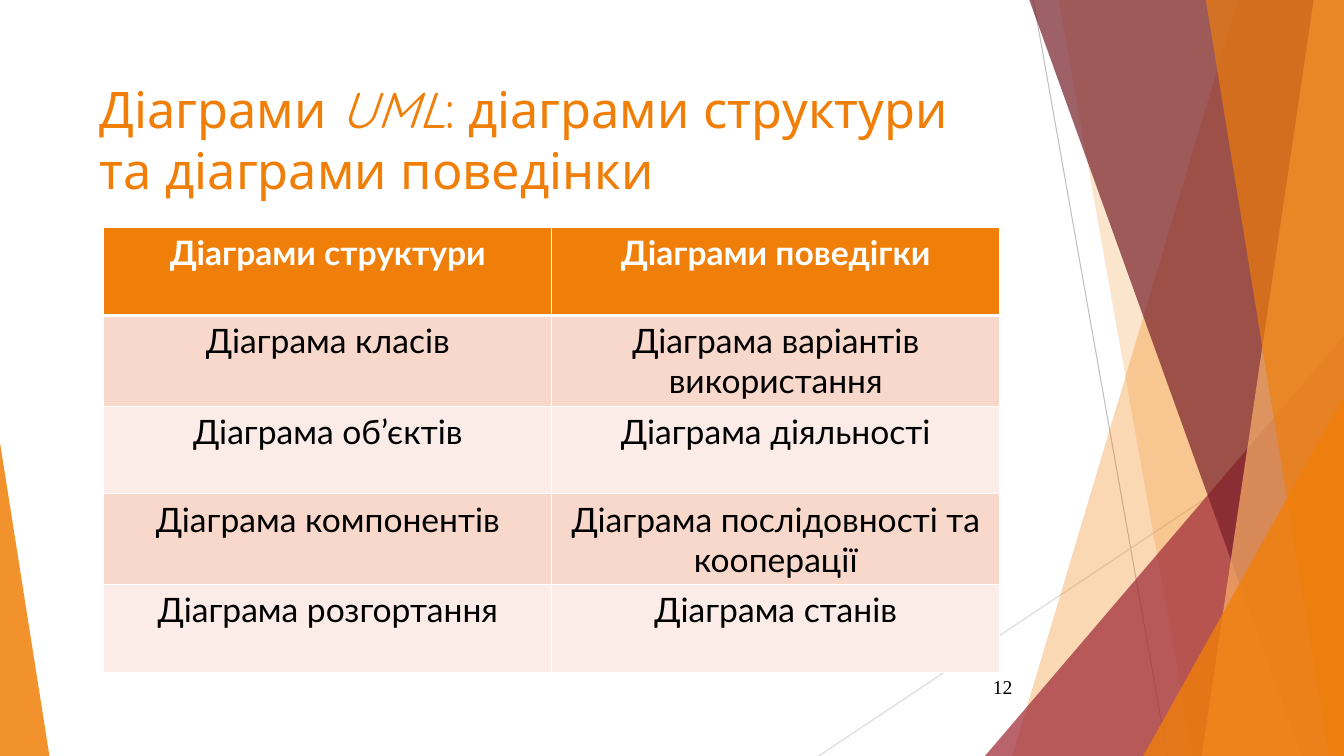
import pptx
import pptx.util
import pptx.dml.color
import pptx.enum.shapes
import pptx.enum.text
import pptx.oxml
import pptx.oxml.ns
from lxml import etree

RGB = pptx.dml.color.RGBColor
ORANGE = RGB(0xF0, 0x7F, 0x09)
PEACH = RGB(0xF9, 0xB2, 0x68)
RED = RGB(0x9F, 0x29, 0x36)
WINE = RGB(0x77, 0x1F, 0x28)
GREY = RGB(0xBF, 0xBF, 0xBF)
PALE = RGB(0xD9, 0xD9, 0xD9)
ROSE = RGB(0xF9, 0xD8, 0xCC)
BLUSH = RGB(0xFC, 0xEC, 0xE7)
BLACK = RGB(0, 0, 0)
WHITE = RGB(0xFF, 0xFF, 0xFF)

MID = pptx.enum.text.PP_ALIGN.CENTER
RIGHT = pptx.enum.text.PP_ALIGN.RIGHT
Pt = pptx.util.Pt

deck = pptx.Presentation()
deck.slide_width = pptx.util.Inches(13.33)
deck.slide_height = pptx.util.Inches(7.5)
slide = deck.slides.add_slide(deck.slide_layouts[6])
shapes = slide.shapes

# Grid: one hundred columns and one hundred rows
col = deck.slide_width / 100
row = deck.slide_height / 100


def place(x, y, *size):
    units = (col, row, col, row)
    return [round(n * unit) for n, unit in zip((x, y) + size, units)]


def write(para, text, font, size, color, bold=False, italic=False):
    run = para.add_run()
    run.text = text
    run.font.name = font
    run.font.size = Pt(size)
    run.font.bold = bold
    run.font.italic = italic
    run.font.color.rgb = color


# Thin lines behind the bands
for ends, color in [((76.89, 0, 86.87, 100), GREY), ((100, 53.73, 60.91, 100), PALE)]:
    line = shapes.add_connector(pptx.enum.shapes.MSO_CONNECTOR.STRAIGHT, *place(*ends))
    line.line.color.rgb = color
    line.line.width = Pt(0.75)
    etree.SubElement(line.element.spPr, pptx.oxml.ns.qn("a:effectLst"))

# Clear bands run to the right edge; wedges stand on the bottom edge
decor = [
    ("band", 92.12, 75.32, ORANGE, 30),
    ("band", 78.77, 88.75, ORANGE, 20),
    ("wedge", (73.29, 44.4, 26.71, 55.6), 1, RED, 72),
    ("band", 76.59, 96.85, WINE, 70),
    ("band", 97.75, 89.42, PEACH, 70),
    ("band", 89.72, 98.87, ORANGE, 65),
    ("wedge", (85.07, 52.4, 14.93, 47.6), 1, ORANGE, 80),
    ("wedge", (0, 58.53, 3.68, 41.47), 0, ORANGE, 85),
]
for kind, first, second, color, alpha in decor:
    if kind == "band":
        pen = shapes.build_freeform(*place(first, 0))
        pen.add_line_segments([place(100, 0), place(100, 100), place(second, 100)])
        shape = pen.convert_to_shape()
    else:
        form = pptx.enum.shapes.MSO_SHAPE.ISOSCELES_TRIANGLE
        shape = shapes.add_shape(form, *place(*first))
        shape.adjustments[0] = second
    shape.shadow.inherit = False
    shape.line.fill.background()
    shape.fill.solid()
    shape.fill.fore_color.rgb = color
    tint = shape.element.spPr.find(".//" + pptx.oxml.ns.qn("a:srgbClr"))
    etree.SubElement(tint, pptx.oxml.ns.qn("a:alpha"), val=str(alpha * 1000))

# Slide number
frame = shapes.add_textbox(*place(70.44, 88.13, 5.63, 5.33)).text_frame
frame.word_wrap = True
frame.vertical_anchor = pptx.enum.text.MSO_ANCHOR.MIDDLE
frame.paragraphs[0].alignment = RIGHT
write(frame.paragraphs[0], "12", "Times New Roman", 14, BLACK)

# Title
frame = shapes.add_textbox(*place(6.68, 9.73, 69.39, 16.53)).text_frame
frame.word_wrap = True
for text, slant in [
    ("Діаграми ", False),
    ("UML", True),
    (": діаграми структури та діаграми поведінки", False),
]:
    write(frame.paragraphs[0], text, "Quicksand", 36, ORANGE, italic=slant)

# Table of diagram kinds
pairs = [
    ("Діаграми структури", "Діаграми поведігки"),
    ("Діаграма класів", "Діаграма варіантів використання"),
    ("Діаграма об’єктів", "Діаграма діяльності"),
    ("Діаграма компонентів", "Діаграма послідовності та кооперації"),
    ("Діаграма розгортання", "Діаграма станів"),
]
area = place(7.73, 30.13, 66.66, 11.6 * len(pairs))
table = shapes.add_table(len(pairs), 2, *area).table
for r, pair in enumerate(pairs):
    head = r == 0
    for c, text in enumerate(pair):
        cell = table.cell(r, c)
        props = cell._tc.get_or_add_tcPr()
        for side in "LRTB":
            thick = (head and side == "B") or (r == 1 and side == "T")
            props.append(pptx.oxml.parse_xml(
                f'<a:ln{side} {pptx.oxml.ns.nsdecls("a")} w="{Pt(3 if thick else 1)}">'
                f'<a:solidFill><a:srgbClr val="{WHITE}"/></a:solidFill></a:ln{side}>'))
        cell.fill.solid()
        cell.fill.fore_color.rgb = ORANGE if head else (BLUSH, ROSE)[r % 2]
        para = cell.text_frame.paragraphs[0]
        para.alignment = MID
        write(para, text, "Lato", 24, WHITE if head else BLACK, bold=head)

deck.save("out.pptx")
